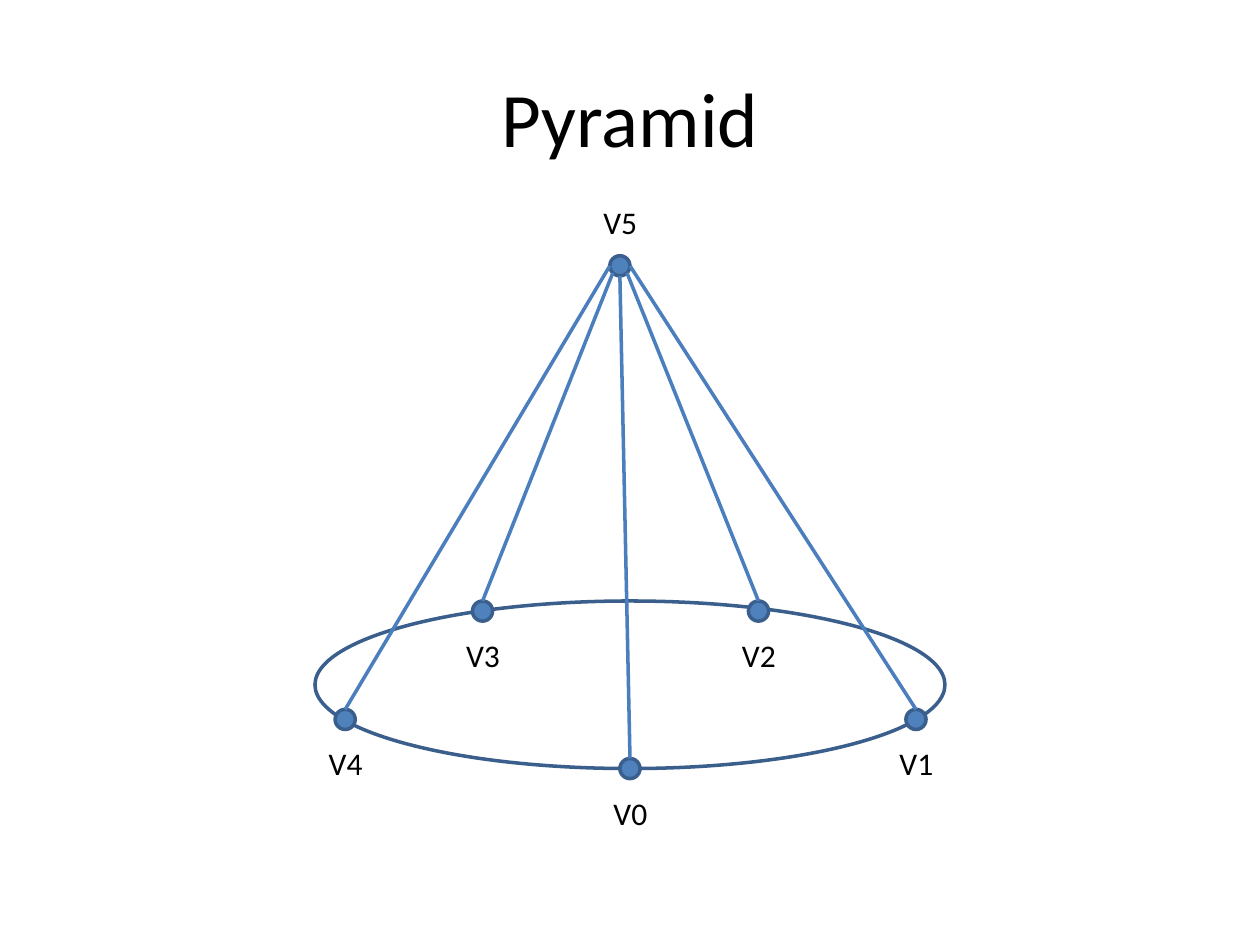
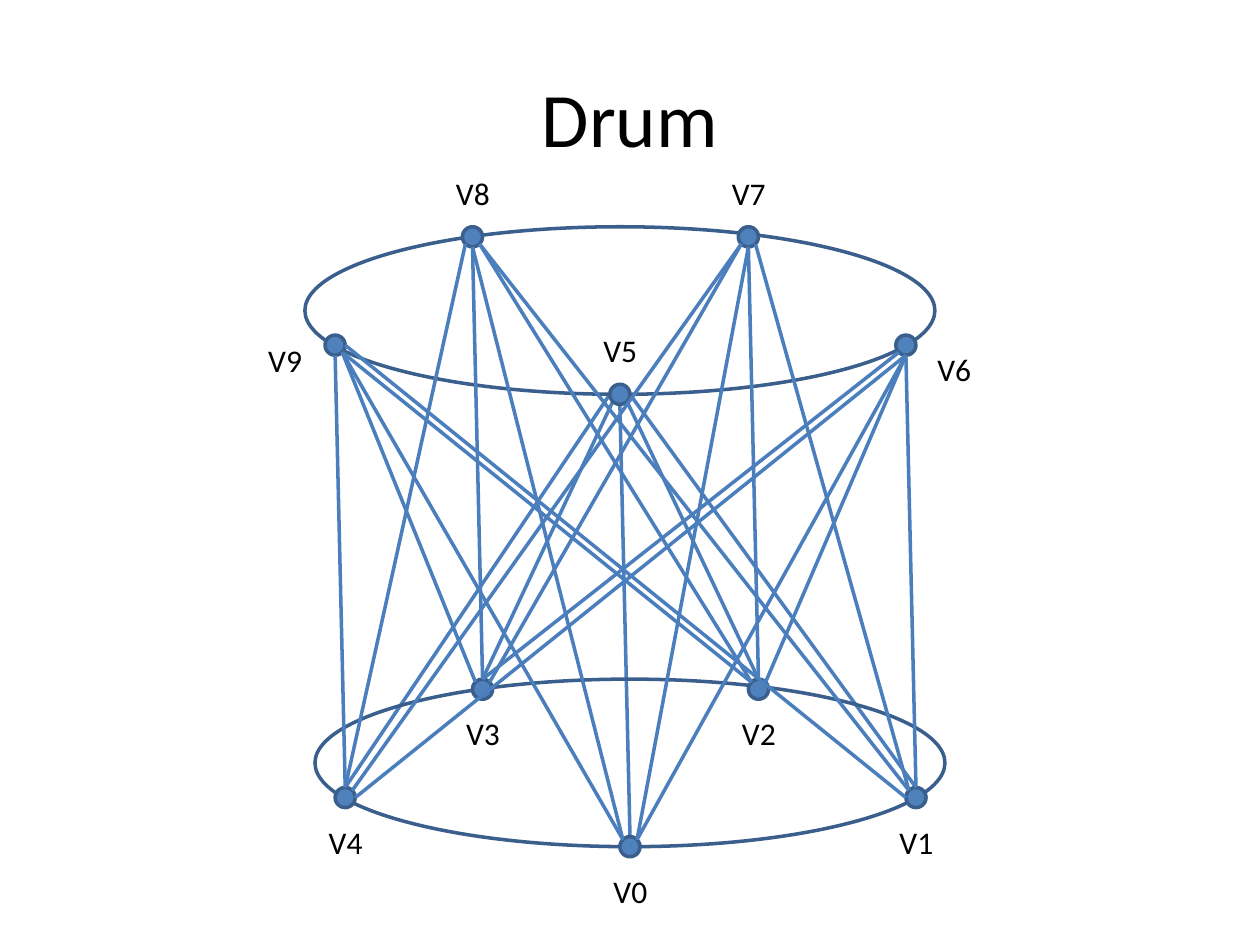
from lxml import etree
from pptx import Presentation
from pptx import util as u
from pptx.dml.color import RGBColor
from pptx.enum import shapes, text
from pptx.oxml.ns import qn

FONT = "Calibri"
BLACK, NODE_FILL, OUTLINE, EDGE = "000000", "4F81BD", "3A5F8C", "4B7EBC"
LINE_WIDTH = u.Pt(2)
NODE_SIZE = 0.16
RING_WIDTH, RING_HEIGHT = 5, 1.33
RING_OFFSETS = [(2.42, 1.25), (4.69, 0.86), (3.44, 0), (1.25, 0), (0.16, 0.86)]
BELOW, ABOVE, BESIDE_RIGHT, BESIDE_LEFT = (-0.15, 0.23), (-0.15, -0.47), (0.23, 0.07), (-0.55, 0)
SITES = {
    "N": (0.5, 0), "NE": (0.85, 0.15), "E": (1, 0.5), "SE": (0.85, 0.85),
    "S": (0.5, 1), "SW": (0.15, 0.85), "W": (0, 0.5), "NW": (0.15, 0.15),
}
FAN_EDGES = "V5.W-V4.N V5.E-V1.N V5.SW-V3.N V5.SE-V2.N V5.S-V0.N"
DRUM_EDGES = (
    "V9.S-V4.N V8.S-V3.N V7.S-V2.N V6.S-V1.N V8.SW-V4.N V7.SW-V4.NE V6.S-V4.E "
    "V9.SE-V0.NW V9.SE-V3.NW V9.SE-V2.NW V9.E-V1.W V6.S-V0.NE V8.S-V0.NW V7.S-V0.NE "
    "V7.SE-V1.NW V8.SE-V1.NW V7.SW-V3.NE V8.SE-V2.NW V6.S-V2.NE V6.SW-V3.N"
)


def color(value):
    return RGBColor.from_string(value)


def add_run(paragraph, words, size):
    run = paragraph.add_run()
    run.text = words
    run.font.name = FONT
    run.font.size = u.Pt(size)
    run.font.color.rgb = color(BLACK)


def add_title_slide(presentation, words):
    slide = presentation.slides.add_slide(presentation.slide_layouts[5])
    title = slide.shapes.title
    title.left, title.top = u.Inches(0.5), u.Inches(0.3)
    title.width, title.height = u.Inches(9), u.Inches(1.25)
    title.text_frame.vertical_anchor = text.MSO_ANCHOR.MIDDLE
    paragraph = title.text_frame.paragraphs[0]
    paragraph.alignment = text.PP_ALIGN.CENTER
    add_run(paragraph, words, 44)
    return slide


def add_ellipse(container, left, top, width, height, fill=None):
    shape = container.add_shape(
        shapes.MSO_SHAPE.OVAL, u.Inches(left), u.Inches(top), u.Inches(width), u.Inches(height))
    shape.shadow.inherit = False
    if fill:
        shape.fill.solid()
        shape.fill.fore_color.rgb = color(fill)
    else:
        shape.fill.background()
    shape.line.color.rgb = color(OUTLINE)
    shape.line.width = LINE_WIDTH
    return shape


def add_node(container, left, top):
    return add_ellipse(container, left, top, NODE_SIZE, NODE_SIZE, NODE_FILL)


def add_label(container, words, left, top, offset):
    box = container.add_textbox(
        u.Inches(left + offset[0]), u.Inches(top + offset[1]), u.Inches(0.51), u.Inches(0.4))
    box.text_frame.word_wrap = False
    box.text_frame.auto_size = text.MSO_AUTO_SIZE.SHAPE_TO_FIT_TEXT
    add_run(box.text_frame.paragraphs[0], words, 18)


def add_ring(container, left, top, first, label_offsets):
    add_ellipse(container, left, top, RING_WIDTH, RING_HEIGHT)
    places = {f"V{first + i}": (left + x, top + y) for i, (x, y) in enumerate(RING_OFFSETS)}
    nodes = {name: add_node(container, *place) for name, place in places.items()}
    for (name, place), offset in zip(places.items(), label_offsets):
        add_label(container, name, *place, offset)
    return nodes


def site_point(node, site):
    across, down = SITES[site]
    return node.left + int(node.width * across), node.top + int(node.height * down)


def add_edges(container, nodes, edges):
    for edge in edges.split():
        (start, start_site), (end, end_site) = (part.split(".") for part in edge.split("-"))
        connector = container.add_connector(
            shapes.MSO_CONNECTOR.STRAIGHT,
            *site_point(nodes[start], start_site), *site_point(nodes[end], end_site))
        if end_site == "N":
            connector.end_connect(nodes[end], 0)
        connector.line.color.rgb = color(EDGE)
        connector.line.width = LINE_WIDTH
        etree.SubElement(connector.element.spPr, qn("a:effectLst"))


def build_pyramid(presentation):
    slide = add_title_slide(presentation, "Pyramid")
    nodes = add_ring(slide.shapes, 2.5, 4.77, 0, [BELOW] * 5)
    apex = (4.84, 2.03)
    nodes["V5"] = add_node(slide.shapes, *apex)
    add_edges(slide.shapes, nodes, FAN_EDGES)
    add_label(slide.shapes, "V5", *apex, ABOVE)


def build_drum(presentation):
    slide = add_title_slide(presentation, "Drum")
    fan, base, lid = (slide.shapes.add_group_shape().shapes for _ in range(3))
    nodes = add_ring(base, 2.5, 5.39, 0, [BELOW] * 5)
    nodes.update(add_ring(lid, 2.42, 1.8, 5, [ABOVE, BESIDE_RIGHT, ABOVE, ABOVE, BESIDE_LEFT]))
    add_edges(fan, nodes, FAN_EDGES)
    add_edges(slide.shapes, nodes, DRUM_EDGES)


def main():
    presentation = Presentation()
    presentation.slide_width, presentation.slide_height = u.Inches(10), u.Inches(7.5)
    build_pyramid(presentation)
    build_drum(presentation)
    presentation.save("out.pptx")


if __name__ == "__main__":
    main()
